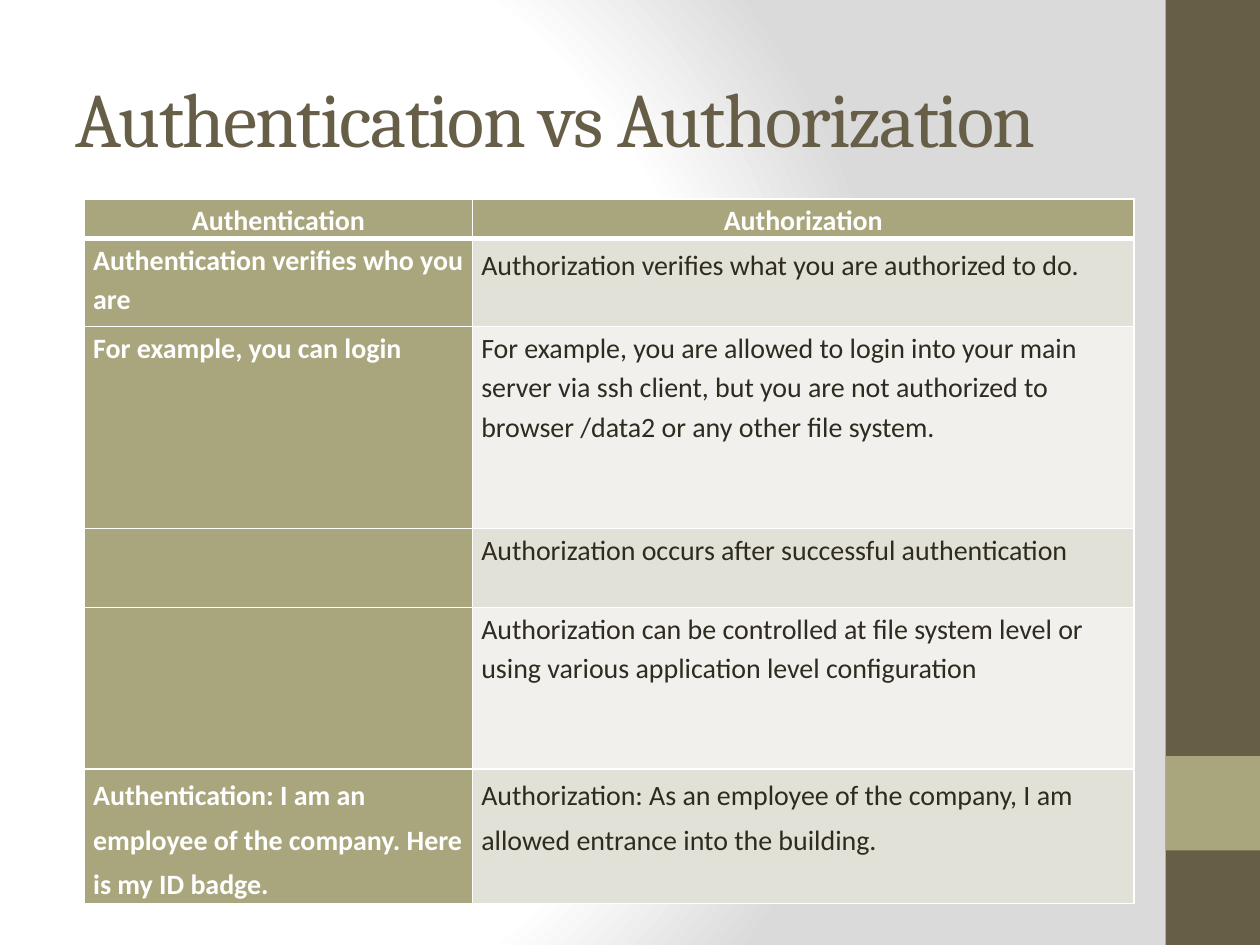
from dataclasses import dataclass
from pptx import Presentation, util as u, oxml
from pptx.dml.color import RGBColor
from pptx.enum import shapes, text


@dataclass
class Theme:
    dark: str = "675E47"
    olive: str = "A9A57C"
    ink: str = "2F2B20"
    white: str = "FFFFFF"
    gray: str = "DADADA"
    bands: tuple = ("E2E1D7", "F1F0EC")
    head: str = "Cambria"
    body: str = "Calibri"
    big: int = 44
    size: int = 16


def paint(fill, tone):
    fill.solid()
    fill.fore_color.rgb = RGBColor.from_string(tone)


def style(para, face, size, tone, bold=False):
    font = para.font
    font.name, font.size, font.bold = face, u.Pt(size), bold
    font.color.rgb = RGBColor.from_string(tone)


look = Theme()
ns = 'xmlns:a="http://schemas.openxmlformats.org/drawingml/2006/main"'
pres = Presentation()
pres.slide_width, pres.slide_height = u.Inches(10), u.Inches(7.5)
slide = pres.slides.add_slide(pres.slide_layouts[5])
wide, high = pres.slide_width, pres.slide_height

stops = "".join(
    f'<a:gs pos="{pos}000"><a:srgbClr val="{tone}"/></a:gs>'
    for pos, tone in ((0, look.white), (75, look.white), (100, look.gray)))
slide.element.cSld.insert(0, oxml.parse_xml(
    f'<p:bg xmlns:p="http://schemas.openxmlformats.org/presentationml/2006/main" {ns}>'
    f'<p:bgPr><a:gradFill rotWithShape="1"><a:gsLst>{stops}</a:gsLst>'
    '<a:path path="circle"><a:fillToRect l="20000" t="50000" r="100000" b="50000"/>'
    '</a:path></a:gradFill><a:effectLst/></p:bgPr></p:bg>'))

side = int(wide * 0.925)
for top, tall, tone in ((0, 1, look.dark), (0.8, 0.1, look.olive)):
    bar = slide.shapes.add_shape(
        shapes.MSO_SHAPE.RECTANGLE, side, int(high * top), wide - side, int(high * tall))
    bar.shadow.inherit = False
    paint(bar.fill, tone)
    bar.line.fill.background()

title = slide.shapes.title
title.left, title.top = u.Inches(0.5), u.Inches(0.3)
title.width, title.height = u.Inches(8.33), u.Inches(1.25)
frame = title.text_frame
frame.text = "Authentication vs Authorization"
frame.auto_size = text.MSO_AUTO_SIZE.NONE
frame.vertical_anchor = text.MSO_ANCHOR.MIDDLE
para = frame.paragraphs[0]
para.alignment = text.PP_ALIGN.LEFT
style(para, look.head, look.big, look.dark)
para.runs[0].font._element.set("spc", "-100")

rows = (
    (0.3, 1.15, 1.15, "Authentication", "Authorization"),
    (0.7, 1.15, 1.3, "Authentication verifies who you are",
     "Authorization verifies what you are authorized to do."),
    (1.6, 1.15, 1.15, "For example, you can login",
     "For example, you are allowed to login into your main server via ssh client, "
     "but you are not authorized to browser /data2 or any other file system."),
    (0.63, 1.15, 1.15, "", "Authorization occurs after successful authentication"),
    (1.28, 1.15, 1.15, "", "Authorization can be controlled at file system level or "
     "using various application level configuration"),
    (1.07, 1.3, 1.3, "Authentication: I am an employee of the company. Here is my ID badge.",
     "Authorization: As an employee of the company, I am allowed entrance into the building."),
)
cols = (3.08, 5.25)
grid = slide.shapes.add_table(
    len(rows), len(cols), u.Inches(0.67), u.Inches(1.58),
    u.Inches(sum(cols)), u.Inches(sum(row[0] for row in rows))).table
grid.first_col = True
for col, span in zip(grid.columns, cols):
    col.width = u.Inches(span)

for r, (tall, *gaps, left, right) in enumerate(rows):
    grid.rows[r].height = u.Inches(tall)
    for c, words in enumerate((left, right)):
        cell = grid.cell(r, c)
        cell.margin_left = cell.margin_right = u.Inches(0.07)
        cell.margin_top = cell.margin_bottom = 0
        key = r == 0 or c == 0
        paint(cell.fill, look.olive if key else look.bands[(r - 1) % 2])
        cell.text = words
        para = cell.text_frame.paragraphs[0]
        para.line_spacing = gaps[c]
        if r == 0:
            para.alignment = text.PP_ALIGN.CENTER
        style(para, look.body, look.size, look.white if key else look.ink, key)
        props = cell._tc.get_or_add_tcPr()
        for n, edge in enumerate("LRTB"):
            thick = 3 if (r, edge) in ((0, "B"), (1, "T")) else 1
            props.insert(n, oxml.parse_xml(
                f'<a:ln{edge} {ns} w="{u.Pt(thick)}"><a:solidFill>'
                f'<a:srgbClr val="{look.white}"/></a:solidFill></a:ln{edge}>'))

pres.save("out.pptx")
